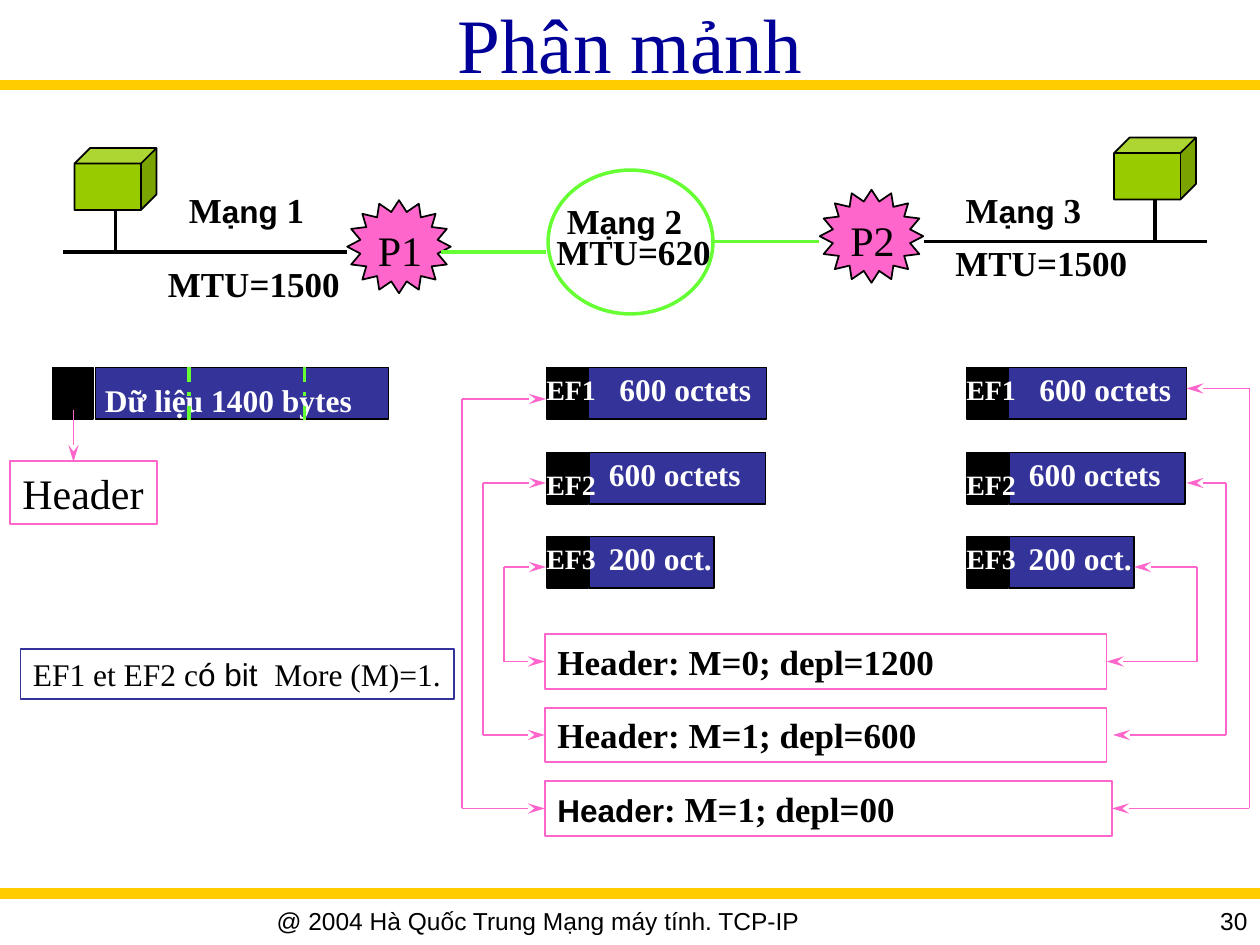
"""Build the IP fragmentation slide on a grid of 120 columns by 90 rows."""
from dataclasses import dataclass
from math import cos, pi, sin

from lxml.etree import SubElement
from pptx import Presentation
from pptx.dml.color import RGBColor
from pptx.enum.dml import MSO_LINE
from pptx.enum.shapes import MSO_CONNECTOR, MSO_SHAPE as Preset
from pptx.enum.text import MSO_ANCHOR, MSO_AUTO_SIZE, PP_ALIGN
from pptx.oxml.ns import qn
from pptx.util import Inches, Pt


@dataclass(frozen=True)
class Theme:
    """Colours, fonts and type sizes."""
    black: str = "000000"
    white: str = "FFFFFF"
    gold: str = "FFCC00"
    title: str = "000099"
    navy: str = "333399"
    pink: str = "FF66CC"
    lime: str = "66FF33"
    olive: str = "99CC00"
    serif: str = "Times New Roman"
    sans: str = "Arial"
    title_size: int = 44
    large: int = 24
    label: int = 20
    body: int = 18
    tag: int = 16
    footer: int = 14


THEME = Theme()
COLUMNS, ROWS = 120, 90
LEFT, CENTER, RIGHT = PP_ALIGN.LEFT, PP_ALIGN.CENTER, PP_ALIGN.RIGHT
LEFT_SIDE, RIGHT_SIDE = 1, 3

RULES = [8.1, 85.1]
CUBES = [(7.1, 14.1), (106.1, 13.1)]
ROUTERS = [("P1", 38, 23.5), ("P2", 83, 22.5)]
CABLES = [(6, 24, 33, 24), (11, 24, 11, 20), (88, 23, 115, 23), (110, 23, 110, 19)]
TRANSIT = [(42, 24, 52, 24), (68, 23, 78, 23)]
NETWORKS = [(" 1", 16.8, 17.4), (" 2", 52.8, 18.4), (" 3", 90.8, 17.4)]
MTUS = [("MTU=1500", 14.8, 24.4, 18.8), ("MTU=1500", 89.8, 22.4, 18.8), ("MTU=620", 51.8, 21.4, 17.2)]
CUTS = [18, 29]
BLOCK_HEIGHT, TAG_WIDTH = 4.9, 3.9
FRAGMENT_LEFTS = [52.1, 92.1]
FRAGMENTS = [
    {"tag": "EF1", "text": "600 octets", "top": 35, "body": (0, 20.9), "tag_top": 34.9, "text_at": (5.7, 15)},
    {"tag": "EF2", "text": "600 octets", "top": 43.1, "body": (4, 16.8), "tag_top": 43.9, "text_at": (4.7, 15)},
    {"tag": "EF3", "text": "200 oct.", "top": 51.1, "body": (4, 11.9), "tag_top": 51, "text_at": (4.7, 12.2)},
]
HEADER_LEFT, HEADER_HEIGHT = 51.9, 5.2
HEADERS = [
    {"runs": [("Header", THEME.sans, THEME.body), (": M=1; depl=00", THEME.serif, THEME.label)],
     "middle": 77, "width": 54, "left_link": (44, 38), "right_link": (119, 37, 113), "right_end": None},
    {"runs": [("Header: M=1; depl=600", THEME.serif, THEME.label)],
     "middle": 70, "width": 53.5, "left_link": (46, 46), "right_link": (116.8, 46, 113), "right_end": 106},
    {"runs": [("Header: M=0; depl=1200", THEME.serif, THEME.label)],
     "middle": 63, "width": 53.5, "left_link": (48, 54), "right_link": (114, 54, 108), "right_end": None},
]
NOTE = [("EF1 et EF2 c", THEME.serif, THEME.body), ("ó bit ", THEME.sans, THEME.body),
        (" More (M)=1.", THEME.serif, THEME.body)]

presentation = Presentation()
presentation.slide_width, presentation.slide_height = Inches(10), Inches(7.5)
slide = presentation.slides.add_slide(presentation.slide_layouts[6])
shapes = slide.shapes


def grid(*cells):
    return [round(cell * presentation.slide_width / COLUMNS) for cell in cells]


def rgb(color):
    return RGBColor.from_string(color)


def paint(shape, fill, line, width=1):
    shape.shadow.inherit = False
    if fill:
        shape.fill.solid()
        shape.fill.fore_color.rgb = rgb(fill)
    else:
        shape.fill.background()
    shape.line.color.rgb = rgb(line)
    shape.line.width = Pt(width)
    return shape


def block(box, fill, line=THEME.black, preset=Preset.RECTANGLE, width=1):
    return paint(shapes.add_shape(preset, *grid(*box)), fill, line, width)


def write(shape, runs, color=THEME.black, bold=False, align=LEFT, wrap=False, fit=True, anchor=MSO_ANCHOR.TOP):
    frame = shape.text_frame
    frame.word_wrap, frame.vertical_anchor = wrap, anchor
    frame.auto_size = MSO_AUTO_SIZE.SHAPE_TO_FIT_TEXT if fit else MSO_AUTO_SIZE.NONE
    paragraph = frame.paragraphs[0]
    paragraph.alignment = align
    paragraph.font.bold = bold
    paragraph.font.color.rgb = rgb(color)
    for text, name, size in runs:
        run = paragraph.add_run()
        run.text = text
        font = paragraph.font if len(runs) == 1 else run.font
        font.name, font.size = name, Pt(size)


def label(box, text, size, name=THEME.serif, **options):
    write(shapes.add_textbox(*grid(*box)), [(text, name, size)], **options)


def line(ends, color, width=1, arrow=None):
    connector = shapes.add_connector(MSO_CONNECTOR.STRAIGHT, *grid(*ends))
    connector.line.color.rgb = rgb(color)
    connector.line.width = Pt(width)
    if arrow:
        SubElement(connector.line._get_or_add_ln(), qn(f"a:{arrow}"), type="stealth", w="med", len="lg")
    SubElement(connector._element.spPr, qn("a:effectLst"))
    return connector


def router(name, x, y, points=16, radii=(4.93, 4.43), inner=0.76):
    corners = []
    for step in range(2 * points):
        angle, reach = pi * step / points, inner if step % 2 else 1
        corners.append(tuple(grid(x + radii[0] * reach * cos(angle), y + radii[1] * reach * sin(angle))))
    builder = shapes.build_freeform(*corners[0])
    builder.add_line_segments(corners[1:], close=True)
    paint(builder.convert_to_shape(), THEME.pink, THEME.black)
    label((x - 3.2, y - 2.7, 6.6, 6), name, THEME.large)


def fragment(left, top, tag, text, body, tag_top, text_at):
    block((left + body[0], top, body[1], BLOCK_HEIGHT), THEME.navy)
    block((left, top, TAG_WIDTH, BLOCK_HEIGHT), THEME.black)
    label((left - 1.25, tag_top, 7.2, 4.4), tag, THEME.tag, color=THEME.white, bold=True)
    label((left + text_at[0], top - 0.35, text_at[1], 4.8), text, THEME.body, color=THEME.white, bold=True)


def header(runs, middle, width, left_link, right_link, right_end):
    box = block((HEADER_LEFT, middle - HEADER_HEIGHT / 2, width, HEADER_HEIGHT), None, THEME.pink)
    write(box, runs, bold=True, wrap=True)
    spine, row = left_link
    line((spine, row, 52, row), THEME.pink, arrow="tailEnd")
    line((spine, row, spine, middle), THEME.pink)
    line((spine, middle, HEADER_LEFT, middle), THEME.pink, arrow="tailEnd").end_connect(box, LEFT_SIDE)
    spine, row, tip = right_link
    line((tip, row, spine, row), THEME.pink, arrow="headEnd")
    line((spine, row, spine, middle), THEME.pink)
    end = right_end or HEADER_LEFT + width
    link = line((end, middle, spine, middle), THEME.pink, arrow="headEnd")
    if not right_end:
        link.begin_connect(box, RIGHT_SIDE)


for y in RULES:
    line((0, y, COLUMNS, y), THEME.gold, 6)
label((0, 0, COLUMNS, RULES[0]), "Phân mảnh", THEME.title_size, color=THEME.title,
      align=CENTER, wrap=True, fit=False, anchor=MSO_ANCHOR.MIDDLE)

for ends in CABLES:
    line(ends, THEME.black, 2)
for x, y in CUBES:
    block((x, y, 7.8, 5.9), THEME.olive, preset=Preset.CUBE)
block((52.2, 16.2, 15.7, 13.7), None, THEME.lime, Preset.OVAL, 2)
for place in ROUTERS:
    router(*place)
for ends in TRANSIT:
    line(ends, THEME.lime, 2)
for number, x, y in NETWORKS:
    write(shapes.add_textbox(*grid(x, y, 13.4, 5.2)),
          [("M", THEME.serif, THEME.label), ("ạng", THEME.sans, THEME.body), (number, THEME.serif, THEME.label)],
          bold=True)
for text, x, y, width in MTUS:
    label((x, y, width, 5.2), text, THEME.label, bold=True)

block((9.1, 35, 27.9, BLOCK_HEIGHT), THEME.navy)
block((5, 35, TAG_WIDTH, BLOCK_HEIGHT), THEME.black)
line((7, 39, 7, 44), THEME.pink, arrow="tailEnd")
write(block((0.95, 43.9, 14, 6), None, THEME.pink), [("Header", THEME.serif, THEME.large)])
label((8.8, 35.7, 28, 4.8), "Dữ liệu 1400 bytes", THEME.body, color=THEME.white, bold=True, wrap=True)
for x in CUTS:
    line((x, 35, x, 40), THEME.lime, 2).line.dash_style = MSO_LINE.DASH_DOT

for left in FRAGMENT_LEFTS:
    for part in FRAGMENTS:
        fragment(left, **part)
for part in HEADERS:
    header(**part)
write(block((1.95, 61.8, 41.3, 4.8), None, THEME.navy), NOTE)

label((0, 85.7, 102.5, 4.3), "@ 2004 Hà Quốc Trung Mạng máy tính. TCP-IP", THEME.footer, THEME.sans,
      align=CENTER, wrap=True, fit=False)
label((103, 85.7, 17, 3.7), "30", THEME.footer, THEME.sans, align=RIGHT, wrap=True, fit=False)

presentation.save("out.pptx")
